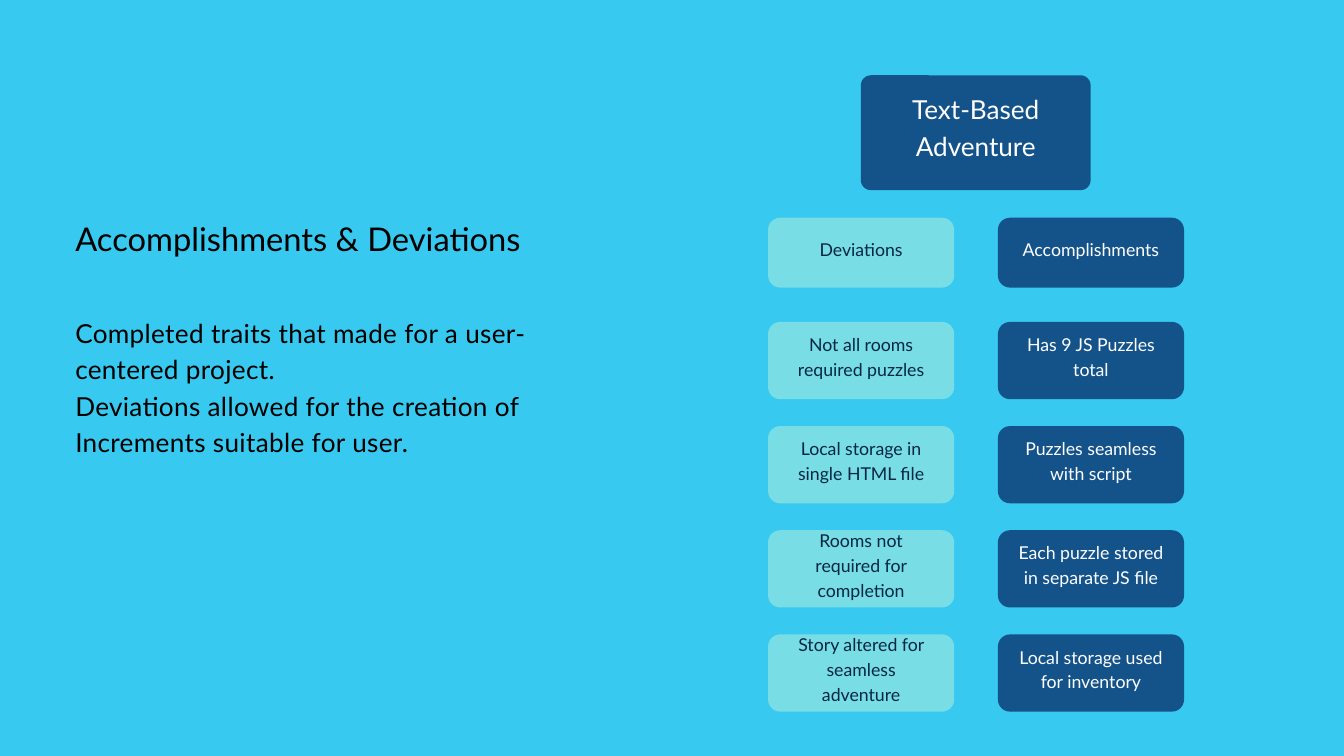
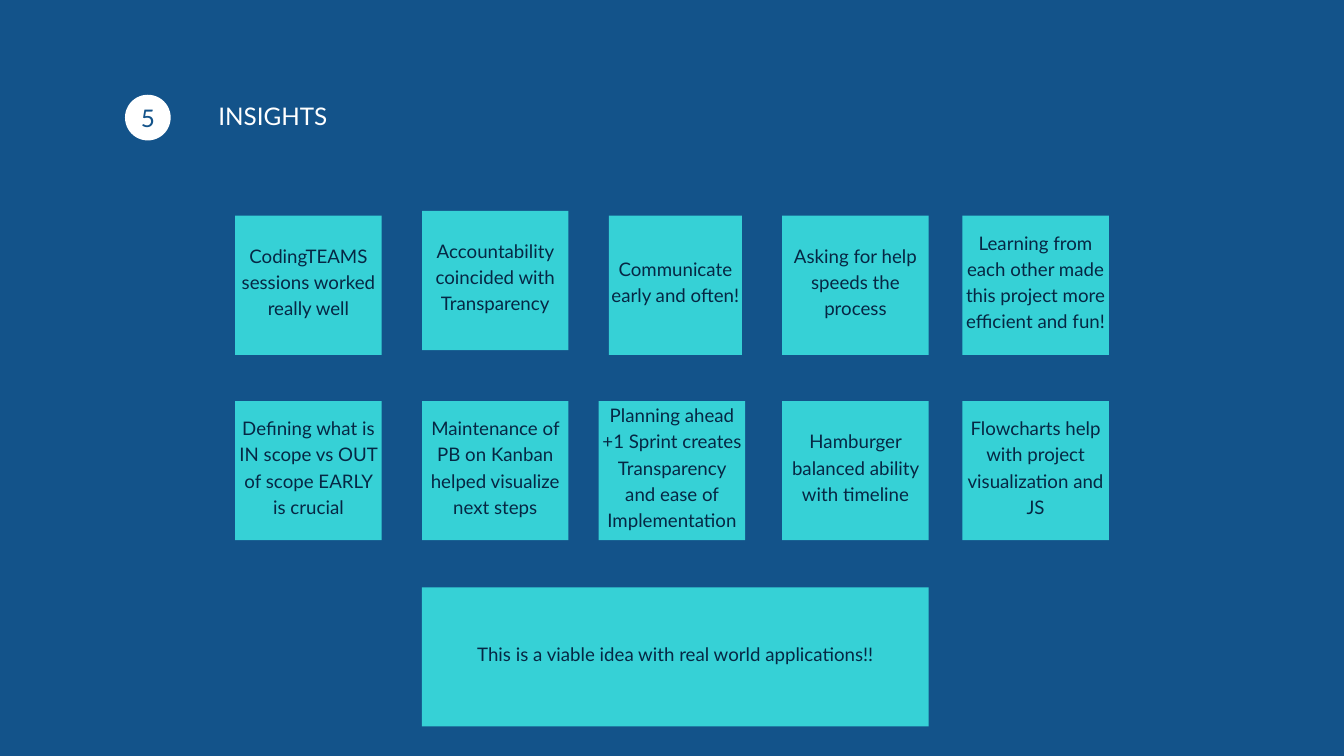
"""Build two slides: project accomplishments and deviations, then team insights."""
from pptx import Presentation
from pptx import util as u
from pptx.dml.color import RGBColor
from pptx.enum import shapes, text

SKY, NAVY, AQUA, TEAL = "37C9EF", "13538A", "78DDE4", "36D1D6"
INK, WHITE, BLACK = "062744", "FFFFFF", "000000"
LEFT, CENTER = text.PP_ALIGN.LEFT, text.PP_ALIGN.CENTER
TOP, MIDDLE = text.MSO_ANCHOR.TOP, text.MSO_ANCHOR.MIDDLE
ROUNDED = shapes.MSO_SHAPE.ROUNDED_RECTANGLE
RECTANGLE = shapes.MSO_SHAPE.RECTANGLE
OVAL = shapes.MSO_SHAPE.OVAL


def write(shape, words, size, color, spacing, align=LEFT, anchor=TOP, insets=(0, 0, 0, 0)):
    frame = shape.text_frame
    frame.word_wrap = True
    frame.vertical_anchor = anchor
    frame.margin_left, frame.margin_top, frame.margin_right, frame.margin_bottom = map(u.Inches, insets)
    frame.text = words
    for paragraph in frame.paragraphs:
        paragraph.alignment = align
        paragraph.line_spacing = u.Pt(spacing)
        paragraph.font.name = "Lato"
        paragraph.font.size = u.Pt(size)
        paragraph.font.color.rgb = RGBColor.from_string(color)


def add_card(slide, kind, box, fill, words, size, color, spacing, insets, radius=0):
    shape = slide.shapes.add_shape(kind, *map(u.Inches, box))
    shape.shadow.inherit = False
    shape.fill.solid()
    shape.fill.fore_color.rgb = RGBColor.from_string(fill)
    shape.line.fill.background()
    if radius:
        shape.adjustments[0] = radius / box[3]
    write(shape, words, size, color, spacing, CENTER, MIDDLE, insets)


presentation = Presentation()
presentation.slide_width = u.Inches(20)
presentation.slide_height = u.Inches(11.25)
slides = []
for background in (SKY, NAVY):
    slide = presentation.slides.add_slide(presentation.slide_layouts[6])
    slide.background.fill.solid()
    slide.background.fill.fore_color.rgb = RGBColor.from_string(background)
    slides.append(slide)
review, insights = slides

heading = review.shapes.add_textbox(*map(u.Inches, (1.12, 3.21, 6.72, 1.23)))
write(heading, "Accomplishments & Deviations", 35, BLACK, 45.5)
summary = review.shapes.add_textbox(*map(u.Inches, (1.12, 4.64, 6.72, 2.14)))
write(summary, "Completed traits that made for a user-centered project.\n"
      "Deviations allowed for the creation of Increments suitable for user.", 28, BLACK, 39.2)
for paragraph in summary.text_frame.paragraphs:
    for run in paragraph.runs:
        run.font._element.set("spc", "40")

add_card(review, ROUNDED, (12.81, 1.12, 3.42, 1.71), NAVY, "Text-Based Adventure",
         28, WHITE, 39.2, (0.23, 0.04, 0.23, 0.28), 0.15)

columns = [
    (11.43, AQUA, INK, ["Deviations", "Not all rooms required puzzles",
                        "Local storage in single HTML file", "Rooms not required for completion",
                        "Story altered for seamless adventure"]),
    (14.85, NAVY, WHITE, ["Accomplishments", "Has 9 JS Puzzles total",
                          "Puzzles seamless with script", "Each puzzle stored in separate JS file",
                          "Local storage used for inventory"]),
]
for left, fill, color, items in columns:
    for row, item in enumerate(items):
        height = 1.15 if row else 1.04
        add_card(review, ROUNDED, (left, 3.24 + 1.55 * row, 2.77, height), fill, item,
                 19, color, 26.6, (0.23, 0.12, 0.23, 0.28), 0.18)

title = insights.shapes.add_textbox(*map(u.Inches, (3.25, 1.08, 9.65, 1.29)))
write(title, "INSIGHTS", 26, WHITE, 31.2, anchor=MIDDLE)
add_card(insights, OVAL, (1.86, 1.41, 0.68, 0.68), WHITE, "5", 26, NAVY, 36.4, (0, 0, 0, 0.06))

lessons = [
    (3.5, 3.21, 2.18, "CodingTEAMS sessions worked really well"),
    (6.28, 3.14, 2.18, "Accountability coincided with Transparency"),
    (9.06, 3.21, 1.98, "Communicate early and often!"),
    (11.64, 3.21, 2.18, "Asking for help speeds the process"),
    (14.32, 3.21, 2.18, "Learning from each other made this project more efficient and fun!"),
    (3.5, 5.97, 2.18, "Defining what is IN scope vs OUT of scope EARLY is crucial"),
    (6.28, 5.97, 2.18, "Maintenance of PB on Kanban helped visualize next steps"),
    (8.91, 5.97, 2.18, "Planning ahead +1 Sprint creates Transparency and ease of Implementation"),
    (11.64, 5.97, 2.18, "Hamburger balanced ability with timeline"),
    (14.32, 5.97, 2.18, "Flowcharts help with project visualization and JS"),
    (6.28, 8.74, 7.54, "This is a viable idea with real world applications!!"),
]
for left, top, width, lesson in lessons:
    add_card(insights, RECTANGLE, (left, top, width, 2.07), TEAL, lesson,
             20, INK, 28, (0.03, 0, 0.03, 0.15))

presentation.save("out.pptx")
